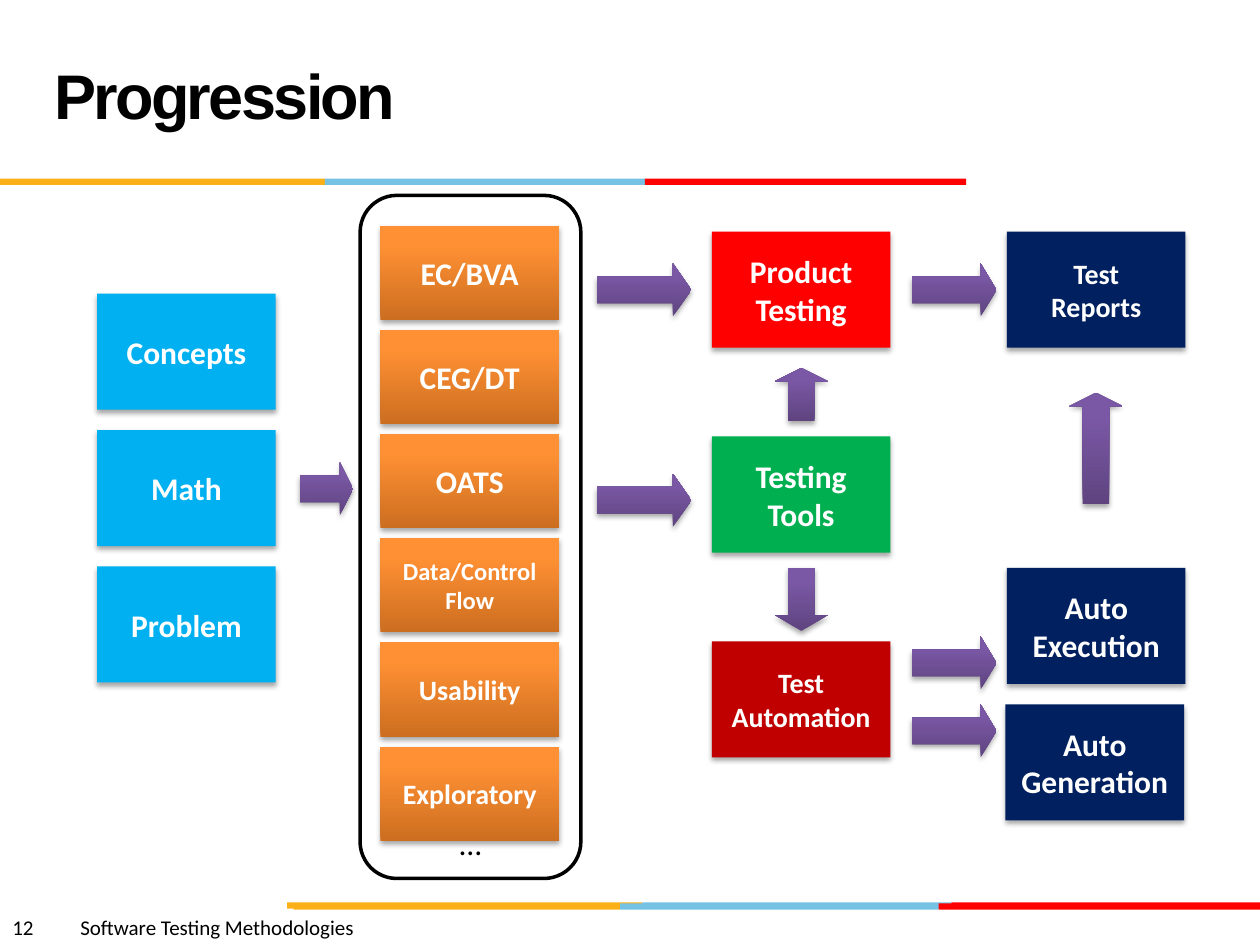
from dataclasses import dataclass

from lxml import etree
from pptx import Presentation
from pptx.dml.color import RGBColor
from pptx.enum.shapes import MSO_SHAPE as Preset
from pptx.enum.text import MSO_ANCHOR as Anchor, PP_ALIGN as Align
from pptx.oxml.ns import qn
from pptx.util import Cm, Pt


@dataclass(frozen=True)
class Theme:
    heading: str = "Arial"
    body: str = "Calibri"
    black: str = "000000"
    white: str = "FFFFFF"
    amber: str = "FCB017"
    sky: str = "76C2E5"
    red: str = "FF0000"
    cyan: str = "00B0F0"
    green: str = "00B050"
    crimson: str = "C00000"
    navy: str = "002060"
    orange: tuple = ("CC6E20", "FF9034")
    purple: tuple = ("5F4480", "7B58A6")
    title_size: int = 36
    large: int = 18
    medium: int = 16
    small: int = 14
    footer_size: int = 12


class SlideBuilder:
    def __init__(self, slide, theme):
        self.slide = slide
        self.theme = theme

    def paint(self, shape, colour):
        if isinstance(colour, tuple):
            shape.fill.gradient()
            shape.fill.gradient_angle = 90
            for stop, tone, position in zip(shape.fill.gradient_stops, colour, (0, 0.8)):
                stop.color.rgb = RGBColor.from_string(tone)
                stop.position = position
        else:
            shape.fill.solid()
            shape.fill.fore_color.rgb = RGBColor.from_string(colour)

    def block(self, preset, left, top, width, height, colour, shadow=False):
        shape = self.slide.shapes.add_shape(preset, Cm(left), Cm(top), Cm(width), Cm(height))
        self.paint(shape, colour)
        shape.line.fill.background()
        shape.shadow.inherit = False
        if shadow:
            effects = shape._element.spPr.find(qn("a:effectLst"))
            outer = etree.SubElement(effects, qn("a:outerShdw"), blurRad=str(Pt(3.1)),
                                     dist=str(Pt(1.8)), dir="5400000", rotWithShape="0")
            tint = etree.SubElement(outer, qn("a:srgbClr"), val=self.theme.black)
            etree.SubElement(tint, qn("a:alpha"), val="35000")
        return shape

    def label(self, shape, text, size, colour, bold=False, font=None,
              align=Align.CENTER, anchor=Anchor.MIDDLE, wrap=False):
        frame = shape.text_frame
        frame.text = text
        frame.word_wrap = wrap
        frame.vertical_anchor = anchor
        for paragraph in frame.paragraphs:
            paragraph.alignment = align
            for run in paragraph.runs:
                run.font.name = font or self.theme.body
                run.font.size = Pt(size)
                run.font.bold = bold
                run.font.color.rgb = RGBColor.from_string(colour)

    def stripe(self, top, edges):
        colours = (self.theme.amber, self.theme.sky, self.theme.red)
        for start, end, colour in zip(edges, edges[1:], colours):
            self.block(Preset.RECTANGLE, start, top, end - start, 0.13, colour)

    def title(self, text):
        box = self.slide.shapes.add_textbox(Cm(0.84), Cm(0.43), Cm(17.58), Cm(3.18))
        self.label(box, text, self.theme.title_size, self.theme.black, bold=True,
                   font=self.theme.heading, align=Align.LEFT, wrap=True)
        heading = box.text_frame.paragraphs[0]
        heading.line_spacing = Pt(36)
        heading.runs[0]._r.get_or_add_rPr().set("spc", "-150")

    def footer(self, number, course):
        box = self.slide.shapes.add_textbox(Cm(0), Cm(18.31), Cm(12.7), Cm(0.76))
        self.label(box, f"{number}\t{course}", self.theme.footer_size, self.theme.black,
                   align=Align.LEFT, anchor=Anchor.TOP, wrap=True)
        properties = box.text_frame.paragraphs[0]._p.get_or_add_pPr()
        tabs = etree.SubElement(properties, qn("a:tabLst"))
        etree.SubElement(tabs, qn("a:tab"), pos=str(Cm(1.37)), algn="l")

    def panel(self, left, top, width, height, text):
        frame = self.block(Preset.ROUNDED_RECTANGLE, left, top, width, height, self.theme.white)
        frame.line.color.rgb = RGBColor.from_string(self.theme.black)
        frame.line.width = Pt(2)
        self.label(frame, text, self.theme.large, self.theme.black,
                   anchor=Anchor.BOTTOM, wrap=True)

    def card(self, left, top, text, colour, size=None, height=2.34):
        card = self.block(Preset.RECTANGLE, left, top, 3.6, height, colour, shadow=True)
        self.label(card, text, size or self.theme.large, self.theme.white, bold=True)

    def arrow(self, preset, left, top, length, head):
        breadth = 1.07
        size = (length, breadth) if preset == Preset.RIGHT_ARROW else (breadth, length)
        arrow = self.block(preset, left, top, *size, self.theme.purple, shadow=True)
        arrow.adjustments[0] = 0.5
        arrow.adjustments[1] = head


def main():
    theme = Theme()
    deck = Presentation()
    deck.slide_width, deck.slide_height = Cm(25.4), Cm(19.05)
    page = SlideBuilder(deck.slides.add_slide(deck.slide_layouts[6]), theme)

    page.stripe(18.19, (5.79, 12.95, 19.18, 25.4))
    page.stripe(18.21, (5.92, 12.5, 18.92, 25.4))
    page.stripe(3.6, (0, 6.55, 13, 19.48))
    page.footer(12, "Software Testing Methodologies")
    page.title("Progression")

    for row, foundation in enumerate(("Concepts", "Math", "Problem")):
        page.card(1.96, 5.92 + 2.75 * row, foundation, theme.cyan)

    page.panel(7.26, 3.94, 4.45, 13.77, "…")
    techniques = (
        ("EC/BVA", theme.large),
        ("CEG/DT", theme.large),
        ("OATS", theme.large),
        ("Data/Control\nFlow", theme.small),
        ("Usability", theme.medium),
        ("Exploratory", theme.medium),
    )
    for row, (technique, size) in enumerate(techniques):
        page.card(7.67, 4.55 + 2.1 * row, technique, theme.orange, size, height=1.9)

    activities = (
        ("Product\nTesting", theme.red, theme.large),
        ("Testing\nTools", theme.green, theme.large),
        ("Test\nAutomation", theme.crimson, theme.medium),
    )
    for row, (activity, colour, size) in enumerate(activities):
        page.card(14.35, 4.67 + 4.13 * row, activity, colour, size)

    outcomes = (
        (20.3, 4.67, "Test\nReports", theme.medium),
        (20.3, 11.45, "Auto\nExecution", theme.large),
        (20.27, 14.2, "Auto\nGeneration", theme.large),
    )
    for left, top, outcome, size in outcomes:
        page.card(left, top, outcome, theme.navy, size)

    page.arrow(Preset.RIGHT_ARROW, 6.05, 9.32, 1.07, 0.25)
    for top in (5.31, 9.55):
        page.arrow(Preset.RIGHT_ARROW, 12.04, top, 1.9, 0.35)
    for top in (5.31, 12.83, 14.2):
        page.arrow(Preset.RIGHT_ARROW, 18.39, top, 1.7, 0.3)
    page.arrow(Preset.UP_ARROW, 15.62, 7.42, 1.07, 0.25)
    page.arrow(Preset.DOWN_ARROW, 15.62, 11.45, 1.27, 0.3)
    page.arrow(Preset.UP_ARROW, 21.56, 7.92, 2.24, 0.25)

    deck.save("out.pptx")


if __name__ == "__main__":
    main()
